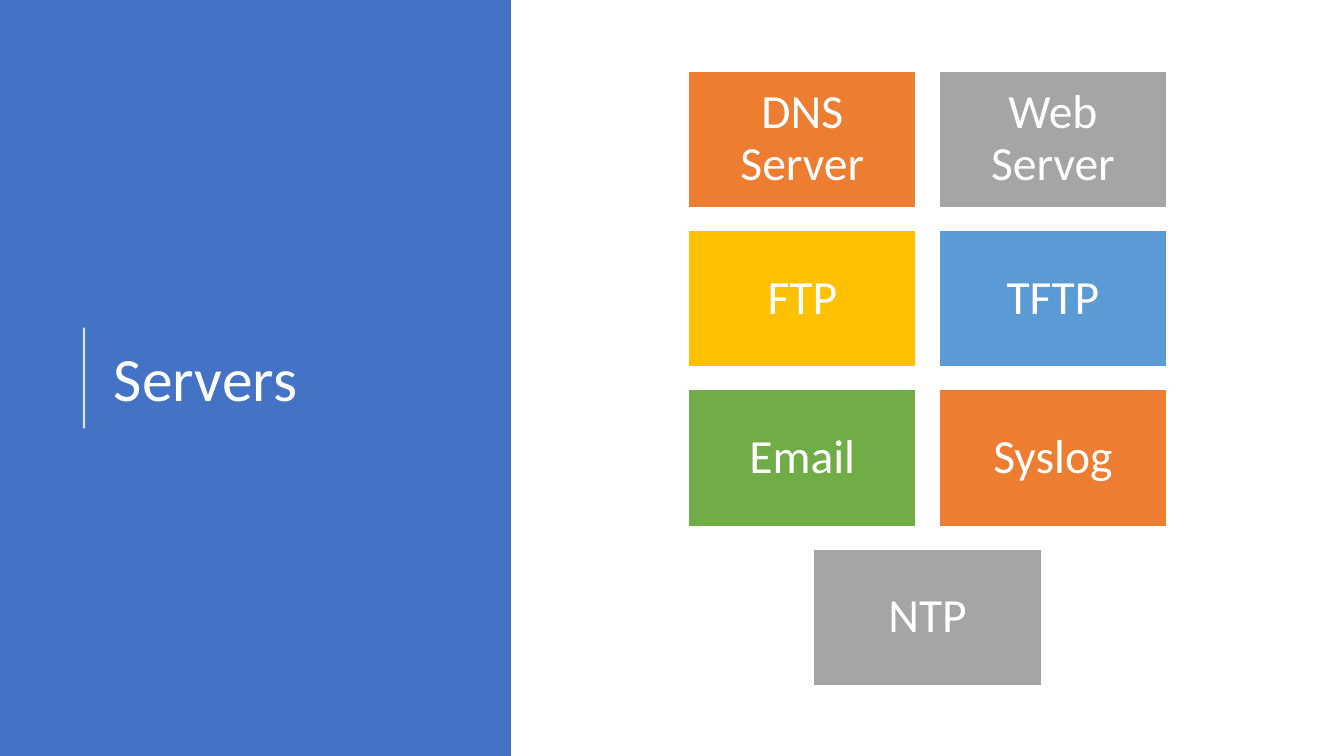
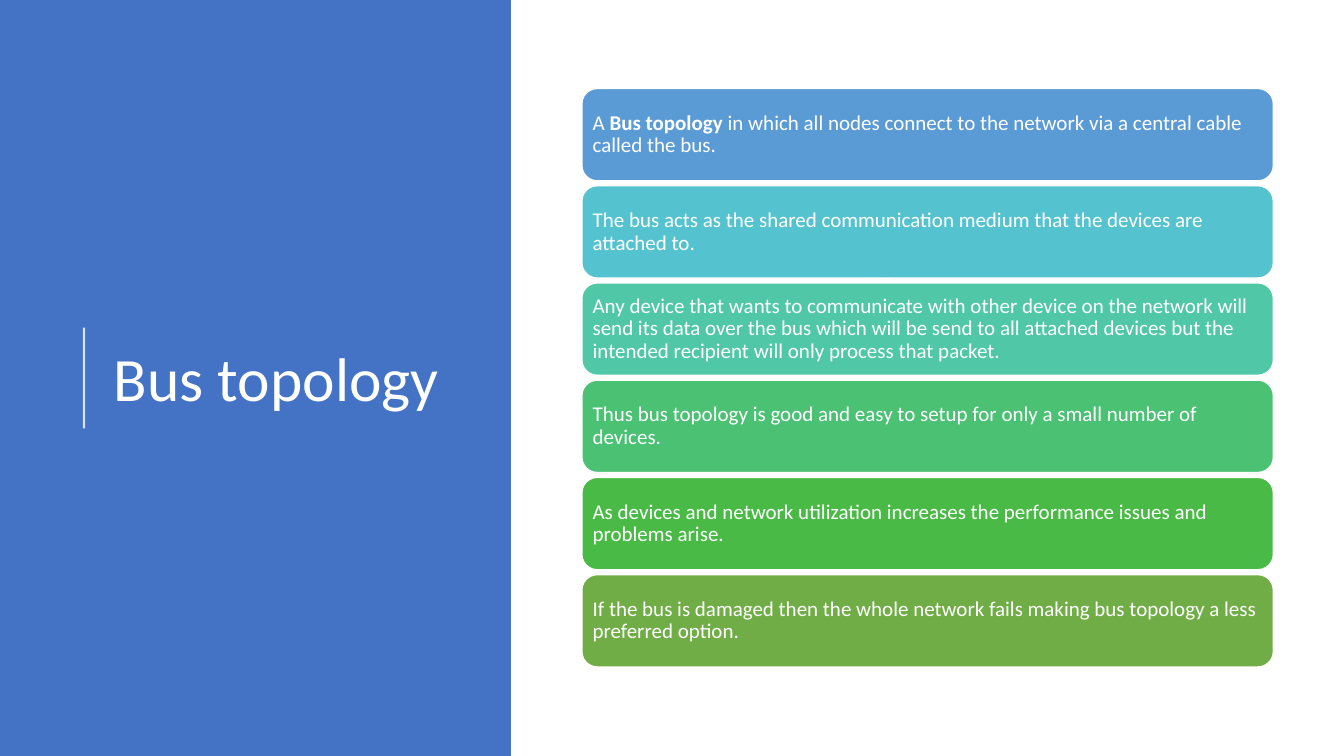
from lxml import etree
from pptx import Presentation
from pptx.dml.color import RGBColor
from pptx.enum import shapes, text
from pptx.oxml import ns
from pptx.util import Pt

BLUE = RGBColor(0x44, 0x72, 0xC4)
WHITE = RGBColor(0xFF, 0xFF, 0xFF)
ORANGE = RGBColor(0xED, 0x7D, 0x31)
GRAY = RGBColor(0xA5, 0xA5, 0xA5)
GOLD = RGBColor(0xFF, 0xC0, 0x00)
SKY = RGBColor(0x5B, 0x9B, 0xD5)
GREEN = RGBColor(0x70, 0xAD, 0x47)
AQUA = RGBColor(0x55, 0xC3, 0xCF)
TEAL = RGBColor(0x50, 0xC8, 0xA7)
MINT = RGBColor(0x4B, 0xC1, 0x74)
LEAF = RGBColor(0x4A, 0xBA, 0x46)

FONT = "Calibri"
SLIDE_W, SLIDE_H = 960, 540
PANEL_W = 365

SERVER_ROWS = [
    [("DNS Server", ORANGE), ("Web Server", GRAY)],
    [("FTP", GOLD), ("TFTP", SKY)],
    [("Email", GREEN), ("Syslog", ORANGE)],
    [("NTP", GRAY)],
]
BUS_POINTS = [
    ("A **Bus topology** in which all nodes connect to the network via a "
     "central cable called the bus.", SKY),
    ("The bus acts as the shared communication medium that the devices are "
     "attached to.", AQUA),
    ("Any device that wants to communicate with other device on the network "
     "will send its data over the bus which will be send to all attached "
     "devices but the intended recipient will only process that packet.", TEAL),
    ("Thus bus topology is good and easy to setup for only a small number of "
     "devices.", MINT),
    ("As devices and network utilization increases the performance issues and "
     "problems arise.", LEAF),
    ("If the bus is damaged then the whole network fails making bus topology "
     "a less preferred option.", GREEN),
]


def write(sp, content, size, align=text.PP_ALIGN.LEFT, inset=None):
    """Fill a shape with one paragraph; **double stars** mark bold words."""
    tf = sp.text_frame
    tf.word_wrap = True
    tf.auto_size = text.MSO_AUTO_SIZE.NONE
    tf.vertical_anchor = text.MSO_ANCHOR.MIDDLE
    if inset is not None:
        tf.margin_left = tf.margin_right = Pt(inset)
        tf.margin_top = tf.margin_bottom = Pt(inset)
    p = tf.paragraphs[0]
    p.alignment = align
    p.line_spacing = 0.9
    for i, part in enumerate(content.split("**")):
        r = p.add_run()
        r.text = part
        r.font.name = FONT
        r.font.size = Pt(size)
        r.font.bold = i % 2 == 1
        r.font.color.rgb = WHITE


class Deck:
    def __init__(self):
        self.prs = Presentation()
        self.prs.slide_width, self.prs.slide_height = Pt(SLIDE_W), Pt(SLIDE_H)
        self.s = None

    def slide(self, title):
        """Start a slide with the blue side panel, its rule and the title."""
        self.s = self.prs.slides.add_slide(self.prs.slide_layouts[5])
        panel = self.box(shapes.MSO_SHAPE.RECTANGLE, 0, 0, PANEL_W, SLIDE_H, BLUE)
        panel.line.fill.background()
        self.s.shapes.element.insert(2, panel.element)  # behind the title
        sp = self.s.shapes.title
        sp.left, sp.top, sp.width, sp.height = Pt(74.2), Pt(56), Pt(266), Pt(433.5)
        write(sp, title, 44)
        self.rule(60, 306, 234)

    def rule(self, x, y1, y2):
        cn = self.s.shapes.add_connector(
            shapes.MSO_CONNECTOR.STRAIGHT, Pt(x), Pt(y1), Pt(x), Pt(y2))
        cn.line.width = Pt(1.5)
        cn.line.color.rgb = WHITE
        spPr = cn.element.spPr
        color = next(spPr.iter(ns.qn("a:srgbClr")))
        etree.SubElement(color, ns.qn("a:alpha"), val="80000")
        etree.SubElement(spPr, ns.qn("a:effectLst"))

    def box(self, kind, x, y, w, h, fill):
        sp = self.s.shapes.add_shape(kind, Pt(x), Pt(y), Pt(w), Pt(h))
        sp.shadow.inherit = False
        sp.fill.solid()
        sp.fill.fore_color.rgb = fill
        sp.line.color.rgb = WHITE
        sp.line.width = Pt(1)
        return sp

    def tiles(self, rows, center=662.6, top=50.6, w=162.7, h=97.6, gap=16.3):
        """Lay out rows of tiles, each row centred on the same axis."""
        for i, row in enumerate(rows):
            left = center - (len(row) * (w + gap) - gap) / 2
            for j, (label, fill) in enumerate(row):
                sp = self.box(shapes.MSO_SHAPE.RECTANGLE, left + j * (w + gap),
                              top + i * (h + gap), w, h, fill)
                write(sp, label, 34, align=text.PP_ALIGN.CENTER, inset=10.2)

    def bars(self, items, left=415.6, top=63.2, w=494, h=66, pitch=69.45):
        for i, (content, fill) in enumerate(items):
            sp = self.box(shapes.MSO_SHAPE.ROUNDED_RECTANGLE, left,
                          top + i * pitch, w, h, fill)
            write(sp, content, 15, inset=4.5)


def main():
    deck = Deck()
    deck.slide("Servers")
    deck.tiles(SERVER_ROWS)
    deck.slide("Bus topology")
    deck.bars(BUS_POINTS)
    deck.prs.save("out.pptx")


if __name__ == "__main__":
    main()
